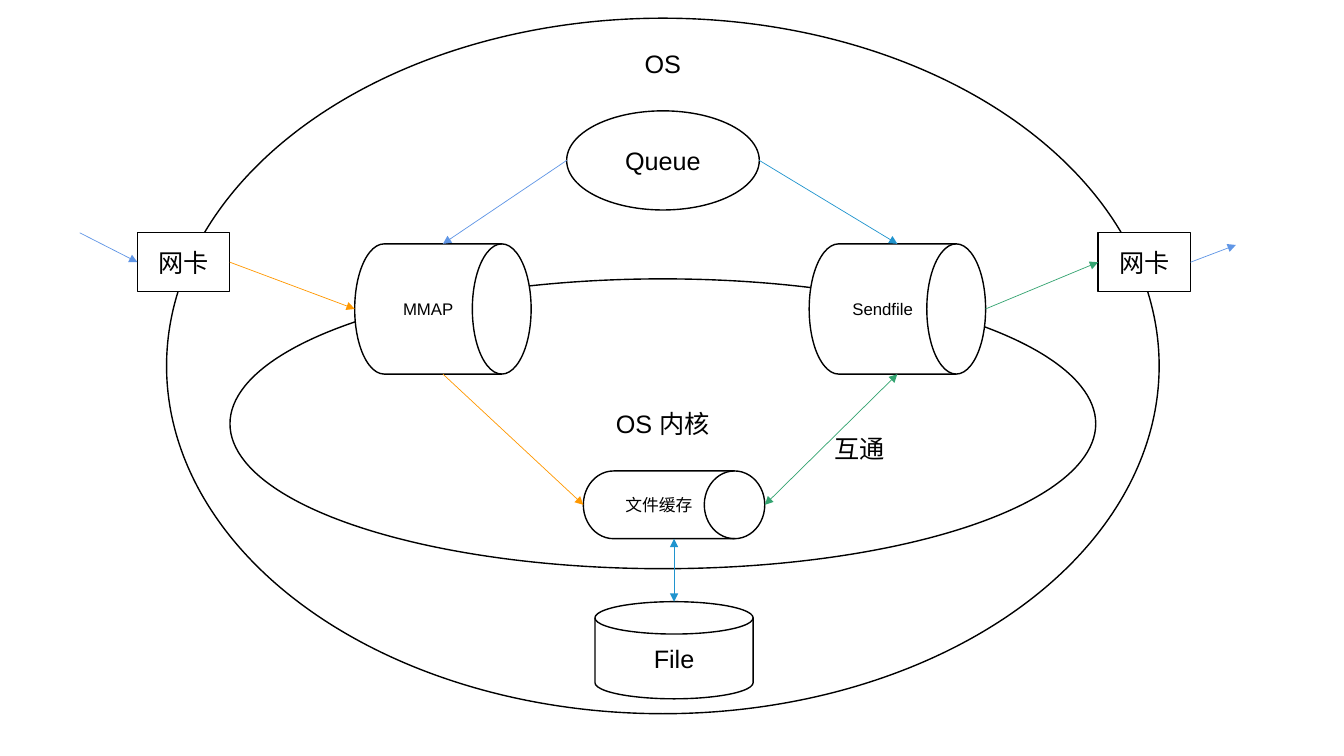
from dataclasses import dataclass

from lxml import etree
from pptx import Presentation
from pptx.dml.color import RGBColor
from pptx.enum.shapes import MSO_CONNECTOR, MSO_SHAPE
from pptx.enum.text import MSO_ANCHOR, PP_ALIGN
from pptx.oxml.ns import qn
from pptx.shapes.autoshape import Shape
from pptx.shapes.shapetree import SlideShapes
from pptx.text.text import TextFrame
from pptx.util import Pt

BLACK = RGBColor(0x00, 0x00, 0x00)
WHITE = RGBColor(0xFF, 0xFF, 0xFF)
ORANGE = RGBColor(0xFF, 0x98, 0x00)
PERIWINKLE = RGBColor(0x60, 0x96, 0xE6)
BLUE = RGBColor(0x20, 0x94, 0xCE)
GREEN = RGBColor(0x34, 0xA4, 0x71)

ELLIPSE = MSO_SHAPE.OVAL
RECTANGLE = MSO_SHAPE.RECTANGLE
DISK = MSO_SHAPE.FLOWCHART_MAGNETIC_DISK
DRUM = MSO_SHAPE.FLOWCHART_DIRECT_ACCESS_STORAGE
STRAIGHT = MSO_CONNECTOR.STRAIGHT
MIDDLE = MSO_ANCHOR.MIDDLE
CENTER = PP_ALIGN.CENTER

TOP, LEFT, BOTTOM, RIGHT = range(4)
FONT = "Arial"


@dataclass(frozen=True)
class Node:
    key: str
    kind: MSO_SHAPE
    left: float
    top: float
    width: float
    height: float
    text: str = ""
    size: float = 18

    def side(self, index: int) -> tuple[float, float]:
        """Return the middle of one side."""
        center, middle = self.left + self.width / 2, self.top + self.height / 2
        return (
            (center, self.top),
            (self.left, middle),
            (center, self.top + self.height),
            (self.left + self.width, middle),
        )[index]


@dataclass(frozen=True)
class Label:
    text: str
    left: float
    top: float
    width: float
    height: float


@dataclass(frozen=True)
class End:
    """A side of a keyed node, or a free point when no node is given."""
    node: str = ""
    side: int = TOP
    point: tuple[float, float] = (0, 0)


@dataclass(frozen=True)
class Arrow:
    start: End
    finish: End
    color: RGBColor
    two_way: bool = False


NODES = [
    Node("os", ELLIPSE, 119, 13, 709, 496.8),
    Node("queue", ELLIPSE, 404.8, 79.2, 137.6, 70.8, "Queue"),
    Node("file", DISK, 425, 429.8, 113, 69.4, "File"),
    Node("card in", RECTANGLE, 98.2, 166.3, 66, 42, "网卡"),
    Node("card out", RECTANGLE, 784.4, 166.3, 66, 42, "网卡"),
    Node("kernel", ELLIPSE, 164.3, 199.2, 618.4, 207, "OS 内核"),
    Node("mmap", DRUM, 253.4, 174.2, 126, 93, "MMAP", 12),
    Node("sendfile", DRUM, 578, 174.2, 126, 93, "Sendfile", 12),
    Node("cache", DRUM, 416.7, 336.4, 129.6, 48.4, "文件缓存", 12),
]

LABELS = [
    Label("OS", 448, 30.7, 51, 29),
    Label("互通", 588.5, 306, 51, 29),
]

ARROWS = [
    Arrow(End(point=(57, 166.3)), End("card in", LEFT), PERIWINKLE),
    Arrow(End("card in", RIGHT), End("mmap", LEFT), ORANGE),
    Arrow(End("queue", LEFT), End("mmap", TOP), PERIWINKLE),
    Arrow(End("queue", RIGHT), End("sendfile", TOP), BLUE),
    Arrow(End("mmap", BOTTOM), End("cache", LEFT), ORANGE),
    Arrow(End("cache", BOTTOM), End("file", TOP), BLUE, two_way=True),
    Arrow(End("cache", RIGHT), End("sendfile", BOTTOM), GREEN, two_way=True),
    Arrow(End("sendfile", RIGHT), End("card out", LEFT), GREEN),
    Arrow(End("card out", RIGHT), End(point=(882.8, 175)), PERIWINKLE),
]


def write_text(frame: TextFrame, text: str, *, size: float = 18,
               wrap: bool = True) -> None:
    frame.word_wrap = wrap
    frame.vertical_anchor = MIDDLE
    para = frame.paragraphs[0]
    para.alignment = CENTER
    span = para.add_run()
    span.text = text
    span.font.name = FONT
    span.font.size = Pt(size)
    span.font.color.rgb = BLACK


def draw_node(shapes: SlideShapes, node: Node) -> Shape:
    shape = shapes.add_shape(node.kind, Pt(node.left), Pt(node.top),
                             Pt(node.width), Pt(node.height))
    shape.shadow.inherit = False
    shape.fill.solid()
    shape.fill.fore_color.rgb = WHITE
    shape.line.color.rgb = BLACK
    shape.line.width = Pt(1)
    if node.text:
        write_text(shape.text_frame, node.text, size=node.size)
    return shape


def draw_label(shapes: SlideShapes, label: Label) -> None:
    box = shapes.add_textbox(Pt(label.left), Pt(label.top),
                             Pt(label.width), Pt(label.height))
    write_text(box.text_frame, label.text, wrap=False)


def locate(end: End, nodes: dict[str, Node]) -> tuple[float, float]:
    return nodes[end.node].side(end.side) if end.node else end.point


def draw_arrow(shapes: SlideShapes, arrow: Arrow, nodes: dict[str, Node],
               drawn: dict[str, Shape]) -> None:
    """Draw an arrow and join its ends to any rectangles they touch."""
    start, finish = locate(arrow.start, nodes), locate(arrow.finish, nodes)
    connector = shapes.add_connector(STRAIGHT, *map(Pt, start + finish))
    joins = ((arrow.start, connector.begin_connect),
             (arrow.finish, connector.end_connect))
    for end, join in joins:
        if end.node and nodes[end.node].kind == RECTANGLE:
            join(drawn[end.node], end.side)
    connector.line.color.rgb = arrow.color
    connector.line.width = Pt(0.5)
    properties = connector.element.spPr
    outline = properties.find(qn("a:ln"))
    tags = ("a:headEnd", "a:tailEnd") if arrow.two_way else ("a:tailEnd",)
    for tag in tags:
        etree.SubElement(outline, qn(tag), type="triangle")
    etree.SubElement(properties, qn("a:effectLst"))


def main() -> None:
    deck = Presentation()
    deck.slide_width, deck.slide_height = Pt(960), Pt(540)
    page = deck.slides.add_slide(deck.slide_layouts[6])
    nodes = {node.key: node for node in NODES}
    drawn = {node.key: draw_node(page.shapes, node) for node in NODES}
    for arrow in ARROWS:
        draw_arrow(page.shapes, arrow, nodes, drawn)
    for label in LABELS:
        draw_label(page.shapes, label)
    deck.save("out.pptx")


if __name__ == "__main__":
    main()
